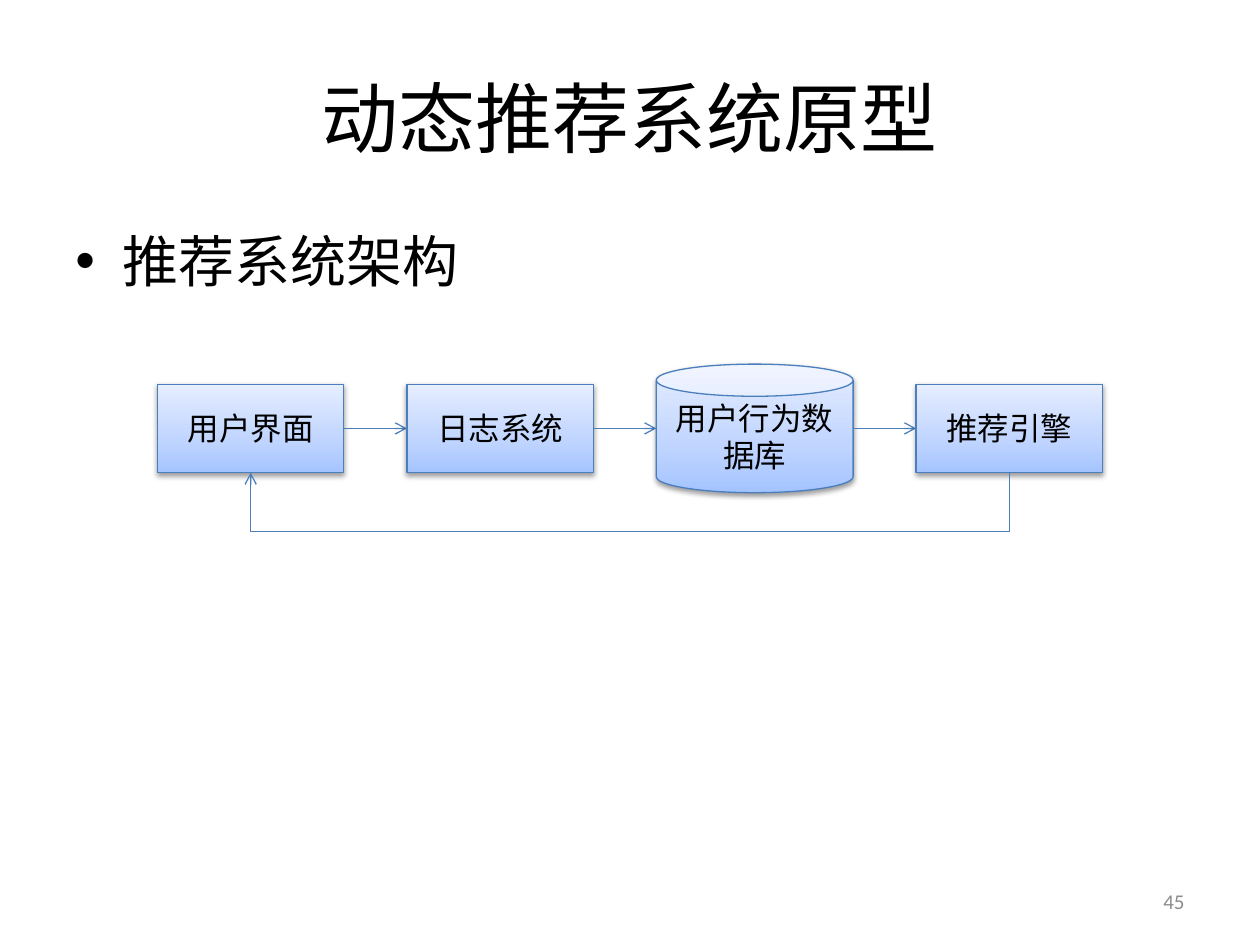
import copy

import pptx
import pptx.dml.color
import pptx.enum.shapes
import pptx.enum.text
import pptx.oxml
import pptx.oxml.ns
import pptx.util

Pt = pptx.util.Pt
RGBColor = pptx.dml.color.RGBColor
SHAPE = pptx.enum.shapes.MSO_SHAPE
CONNECTOR = pptx.enum.shapes.MSO_CONNECTOR
ALIGN = pptx.enum.text.PP_ALIGN
ANCHOR = pptx.enum.text.MSO_ANCHOR
qn = pptx.oxml.ns.qn

BLACK = RGBColor(0x00, 0x00, 0x00)
GRAY = RGBColor(0x8C, 0x8C, 0x8C)
OUTLINE = RGBColor(0x4B, 0x7E, 0xBC)
GRADIENT = (
    (0, RGBColor(0xA4, 0xC4, 0xFF)),
    (0.35, RGBColor(0xBF, 0xD4, 0xFF)),
    (1, RGBColor(0xE6, 0xEE, 0xFF)),
)


def add_xml(parent, tag, **attributes):
    child = pptx.oxml.parse_xml(f"<{tag} {pptx.oxml.ns.nsdecls('a')}/>")
    for key, value in attributes.items():
        child.set(key, str(value))
    parent.append(child)
    return child


class FlowSlide:
    font = "Calibri"
    line_width = Pt(0.75)

    def __init__(self, slide):
        self.slide = slide

    def fill_text(self, frame, words, size, color=BLACK, align=ALIGN.CENTER, anchor=ANCHOR.MIDDLE):
        frame.word_wrap = True
        frame.vertical_anchor = anchor
        paragraph = frame.paragraphs[0]
        paragraph.alignment = align
        run = paragraph.add_run()
        run.text = words
        run.font.name = self.font
        run.font.size = Pt(size)
        run.font.color.rgb = color
        return paragraph

    def text(self, words, left, top, width, height, size, **style):
        box = self.slide.shapes.add_textbox(Pt(left), Pt(top), Pt(width), Pt(height))
        return self.fill_text(box.text_frame, words, size, **style)

    def bullet(self, words, left, top, width, height, size, indent):
        paragraph = self.text(words, left, top, width, height, size,
                              align=ALIGN.LEFT, anchor=ANCHOR.TOP)
        paragraph.space_before = Pt(size * 0.2)
        properties = paragraph._p.get_or_add_pPr()
        properties.set("marL", str(Pt(indent)))
        properties.set("indent", str(-Pt(indent)))
        add_xml(properties, "a:buFont", typeface="Arial")
        add_xml(properties, "a:buChar", char="•")

    def outline(self, item):
        item.line.color.rgb = OUTLINE
        item.line.width = self.line_width

    def node(self, kind, words, left, middle, width, height):
        node = self.slide.shapes.add_shape(
            kind, Pt(left), Pt(middle - height / 2), Pt(width), Pt(height))
        node.fill.gradient()
        node.fill.gradient_angle = 90
        stops = node._element.spPr.find(qn("a:gradFill")).find(qn("a:gsLst"))
        stops.append(copy.deepcopy(stops[0]))
        for stop, (position, color) in zip(node.fill.gradient_stops, GRADIENT):
            stop.position = position
            stop.color.rgb = color
        self.outline(node)
        node.shadow.inherit = False
        shadow = add_xml(node._element.spPr.find(qn("a:effectLst")), "a:outerShdw",
                         blurRad=Pt(3.1), dist=Pt(1.6), dir=90 * 60000, rotWithShape=0)
        add_xml(add_xml(shadow, "a:srgbClr", val=BLACK), "a:alpha", val=38000)
        self.fill_text(node.text_frame, words, 18)

    def arrow(self, kind, x1, y1, x2, y2):
        arrow = self.slide.shapes.add_connector(kind, Pt(x1), Pt(y1), Pt(x2), Pt(y2))
        self.outline(arrow)
        add_xml(arrow.line._get_or_add_ln(), "a:tailEnd", type="arrow")
        add_xml(arrow._element.spPr, "a:effectLst")
        return arrow

    def return_arrow(self, start_x, end_x, bottom, drop):
        thickness = 0.125
        center, span = (start_x + end_x) / 2, start_x - end_x
        arrow = self.arrow(CONNECTOR.ELBOW, center - thickness / 2, bottom - span / 2,
                           center + thickness / 2, bottom + span / 2)
        properties = arrow._element.spPr
        properties.find(qn("a:xfrm")).set("rot", str(90 * 60000))
        adjustments = properties.find(qn("a:prstGeom")).find(qn("a:avLst"))
        add_xml(adjustments, "a:gd", name="adj1", fmla=f"val {round(drop / thickness * 100000)}")


def main():
    deck = pptx.Presentation()
    deck.slide_width, deck.slide_height = Pt(720), Pt(540)
    page = FlowSlide(deck.slides.add_slide(deck.slide_layouts[6]))

    page.text("动态推荐系统原型", 36, 21.6, 648, 90, 44)
    page.bullet("推荐系统架构", 36, 126, 648, 356.4, 32, indent=27)
    page.text("45", 516, 500.5, 168, 28.75, 12, color=GRAY, align=ALIGN.RIGHT)

    box_width, box_height = 106.5, 50.5
    flow_left, middle, gap = 90, 244.8, 36
    stages = (
        (SHAPE.RECTANGLE, "用户界面", box_width, box_height),
        (SHAPE.RECTANGLE, "日志系统", box_width, box_height),
        (SHAPE.CAN, "用户行为数据库", 112.5, 73.5),
        (SHAPE.RECTANGLE, "推荐引擎", box_width, box_height),
    )
    left = flow_left
    centers = []
    for kind, words, width, height in stages:
        if centers:
            page.arrow(CONNECTOR.STRAIGHT, left - gap, middle, left, middle)
        page.node(kind, words, left, middle, width, height)
        centers.append(left + width / 2)
        left += width + gap
    page.return_arrow(centers[-1], centers[0], middle + box_height / 2, drop=37)

    deck.save("out.pptx")


if __name__ == "__main__":
    main()
